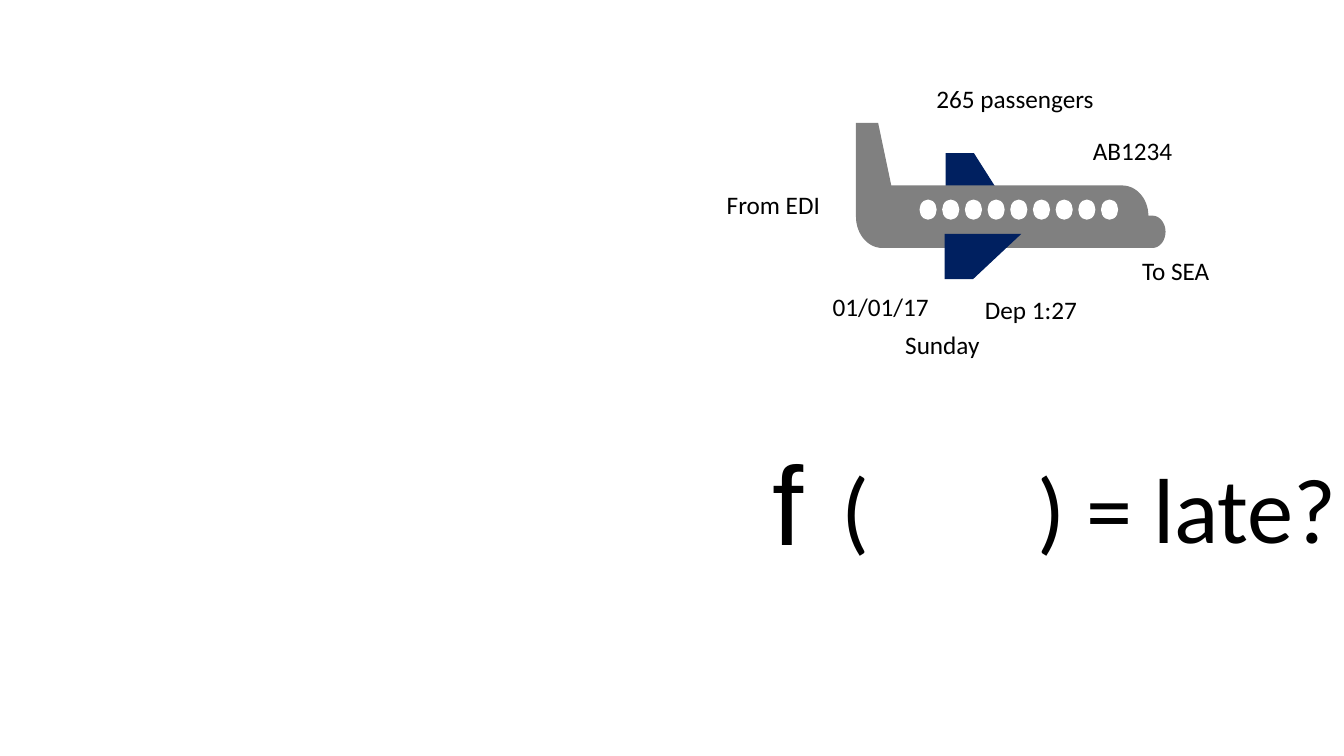
from math import cos, radians, sin

from pptx import Presentation
from pptx.dml.color import RGBColor
from pptx.enum.shapes import MSO_SHAPE
from pptx.enum.text import MSO_AUTO_SIZE
from pptx.oxml import parse_xml
from pptx.oxml.ns import nsdecls
from pptx.util import Inches, Pt

OVAL = MSO_SHAPE.OVAL
GROW = MSO_AUTO_SIZE.SHAPE_TO_FIT_TEXT
COLORS = {"wing": "002060", "body": "808080", "window": "FFFFFF", "text": "000000"}

deck = Presentation()
deck.slide_width, deck.slide_height = Inches(13.33), Inches(7.5)
page = deck.slides.add_slide(deck.slide_layouts[6])
plane = page.shapes.add_group_shape()


def paint(shape, color):
    shape.shadow.inherit = False
    shape.fill.solid()
    shape.fill.fore_color.rgb = RGBColor.from_string(COLORS[color])
    shape.line.fill.background()


def add_text(text, left, top, width, height, size=18, font="Calibri", tab=None):
    box = page.shapes.add_textbox(*map(Inches, (left, top, width, height)))
    frame = box.text_frame
    frame.word_wrap = True
    frame.auto_size = GROW
    frame.margin_right = 0
    para = frame.paragraphs[0]
    para.text = text
    if tab:
        para._p.get_or_add_pPr().append(parse_xml(
            f'<a:tabLst {nsdecls("a")}><a:tab pos="{Inches(tab)}" algn="l"/></a:tabLst>'))
    para.font.size = Pt(size)
    para.font.name = font
    para.font.color.rgb = RGBColor.from_string(COLORS["text"])


# Fuselage outline: straight tail fin, then the cockpit, nose and tail curves
# Each curve: centre x, centre y, radius x, radius y, first and last angle
fuselage = [(8.49, 1.22), (8.71, 1.22), (8.84, 1.84)]
curves = [
    (11.13, 2.14, 0.26, 0.30, -90, 0),
    (11.43, 2.30, 0.13, 0.16, -90, 90),
    (8.75, 2.15, 0.26, 0.31, 90, 180),
]
for center_x, center_y, radius_x, radius_y, first, last in curves:
    for angle in range(first, last + 1, 6):
        fuselage.append((center_x + radius_x * cos(radians(angle)),
                         center_y + radius_y * sin(radians(angle))))

# Far wing, fuselage and near wing, from back to front
far_wing = [(9.66, 1.52), (9.38, 1.52), (9.38, 2.26), (10.13, 2.26)]
near_wing = [(9.65, 2.77), (9.37, 2.77), (9.37, 2.32), (10.13, 2.32)]
for outline, color in ((far_wing, "wing"), (fuselage, "body"), (near_wing, "wing")):
    points = [(Inches(x), Inches(y)) for x, y in outline]
    builder = plane.shapes.build_freeform(*points[0])
    builder.add_line_segments(points[1:], close=True)
    paint(builder.convert_to_shape(), color)

# Row of nine windows
for column in range(9):
    window = plane.shapes.add_shape(
        OVAL, Inches(9.12 + column * 1.8 / 8), Inches(1.98), Inches(0.17), Inches(0.2))
    paint(window, "window")

# Flight details around the plane
labels = [
    ("AB1234", 10.74, 1.29, 1.04),
    ("01/01/17", 8.16, 2.84, 1.27),
    ("265 passengers", 9.19, 0.78, 1.8),
    ("From EDI", 7.11, 1.83, 1.8),
    ("To SEA", 11.23, 2.48, 1.8),
    ("Dep 1:27", 9.67, 2.87, 1.8),
    ("Sunday", 8.88, 3.22, 1.27),
]
for text, left, top, width in labels:
    add_text(text, left, top, width, 0.4)

# Formula, with a tab holding the gap between the brackets
add_text("f", 7.56, 4.25, 5.48, 1.45, size=80, font="Arial")
add_text("(\t) = late?", 8.25, 4.43, 5.08, 1.21, size=66, tab=1.94)

deck.save("out.pptx")
